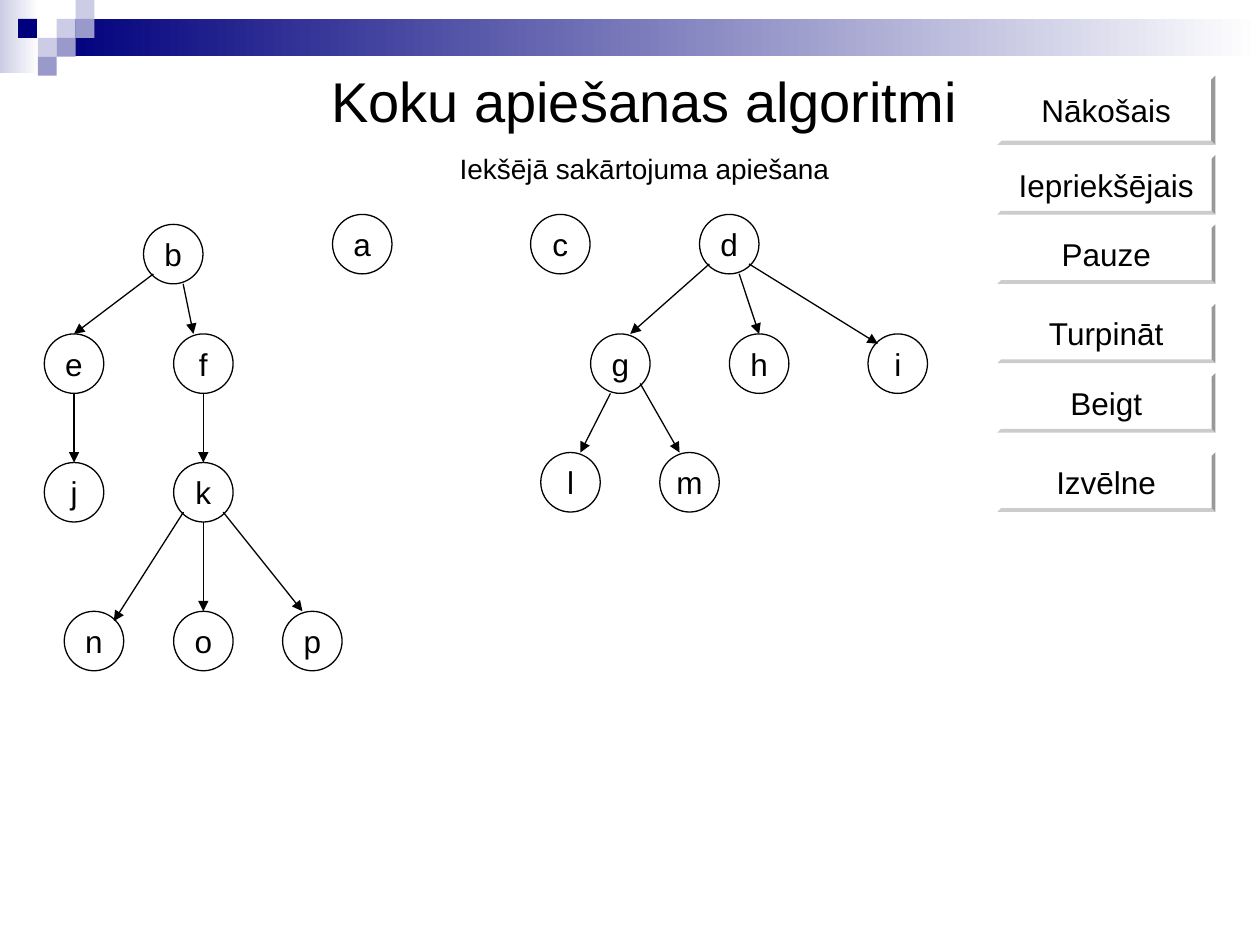
from typing import NamedTuple

from lxml.etree import SubElement
from pptx import Presentation
from pptx.dml.color import RGBColor
from pptx.enum.shapes import MSO_CONNECTOR, MSO_SHAPE
from pptx.enum.text import MSO_ANCHOR, PP_ALIGN
from pptx.oxml.ns import qn
from pptx.util import Pt

BLACK = RGBColor(0x00, 0x00, 0x00)
WHITE = RGBColor(0xFF, 0xFF, 0xFF)
NAVY = RGBColor(0x00, 0x00, 0x7D)
LAVENDER = RGBColor(0xCC, 0xCC, 0xE6)
PERIWINKLE = RGBColor(0x99, 0x99, 0xCC)

FONT = "Arial"
NODE_SIZE = 34
RADIUS = NODE_SIZE / 2
PORT_STEP = RADIUS / 3
SQUARE = 10.8
BUTTON_LEFT, BUTTON_WIDTH = 569.7, 124.8
BEVEL_RATIO = 0.0625


class Node(NamedTuple):
    """A tree node, placed by its centre."""
    x: float
    y: float


class Edge(NamedTuple):
    """An arrow; each port counts steps sideways from the node's middle."""
    parent: str
    child: str
    parent_port: int = 0
    child_port: int = 0


class Button(NamedTuple):
    label: str
    top: float
    height: float = 34


class Block(NamedTuple):
    """A header rectangle, shaded to white when fade is set."""
    left: float
    top: float
    width: float
    height: float
    color: RGBColor
    fade: bool = False


HEADER = [
    Block(0, 0, 22.3, 41.8, LAVENDER, True),
    Block(32.4, 10.8, 687.6, 21.4, NAVY, True),
    *(Block(left, top, SQUARE, SQUARE, color) for left, top, color in [
        (32.4, 10.8, LAVENDER), (43.2, 0, LAVENDER), (43.2, 10.8, PERIWINKLE),
        (21.6, 21.6, LAVENDER), (10.3, 10.8, NAVY), (32.4, 21.6, PERIWINKLE),
        (21.6, 32.4, PERIWINKLE),
    ]),
]

BUTTONS = [
    Button("Nākošais", 43.2, 39.6),
    Button("Iepriekšējais", 88.6),
    Button("Pauze", 128.2),
    Button("Turpināt", 173.5),
    Button("Beigt", 213.2),
    Button("Izvēlne", 258.5),
]

NODES = {
    "a": Node(207, 139.5), "b": Node(99, 145.2),
    "c": Node(320.2, 139.5), "d": Node(416.7, 139.5),
    "e": Node(42.3, 207.8), "f": Node(116.2, 207.8), "g": Node(354.5, 207.8),
    "h": Node(433.8, 207.8), "i": Node(513, 207.8),
    "j": Node(42.3, 281.3), "k": Node(116.2, 281.3),
    "l": Node(326, 275.6), "m": Node(394, 275.6),
    "n": Node(53.7, 366.3), "o": Node(116.2, 366.3), "p": Node(178.5, 366.3),
}

EDGES = [
    Edge("b", "e", -2, 0), Edge("b", "f", 1, -1),
    Edge("d", "g", -2, 1), Edge("d", "h", 1, 0), Edge("d", "i", 2, -2),
    Edge("e", "j"), Edge("f", "k"),
    Edge("g", "l", -1, 1), Edge("g", "m", 2, -1),
    Edge("k", "n", -2, 2), Edge("k", "o"), Edge("k", "p", 2, -1),
]


def add_filled(slide, preset, left: float, top: float, width: float,
               height: float, color: RGBColor):
    shape = slide.shapes.add_shape(
        preset, Pt(left), Pt(top), Pt(width), Pt(height))
    shape.shadow.inherit = False
    shape.fill.solid()
    shape.fill.fore_color.rgb = color
    shape.line.fill.background()
    return shape


def format_paragraph(paragraph, size: float) -> None:
    paragraph.alignment = PP_ALIGN.CENTER
    for run in paragraph.runs:
        run.font.name = FONT
        run.font.size = Pt(size)
        run.font.color.rgb = BLACK


def set_label(shape, label: str) -> None:
    frame = shape.text_frame
    frame.text = label
    frame.word_wrap = False
    frame.vertical_anchor = MSO_ANCHOR.MIDDLE
    format_paragraph(frame.paragraphs[0], 18)


def draw_block(slide, block: Block) -> None:
    shape = add_filled(slide, MSO_SHAPE.RECTANGLE, *block[:5])
    if block.fade:
        shape.fill.gradient()
        shape.fill.gradient_angle = 0
        for stop, color in zip(shape.fill.gradient_stops, (block.color, WHITE)):
            stop.color.rgb = color


def draw_heading(slide) -> None:
    heading = slide.shapes.add_textbox(
        Pt(127.4), Pt(31.7), Pt(481.7), Pt(74.9)).text_frame
    heading.word_wrap = True
    heading.margin_top = Pt(6.5)
    heading.text = "Koku apiešanas algoritmi"
    format_paragraph(heading.paragraphs[0], 32)
    subtitle = heading.add_paragraph()
    subtitle.text = "Iekšējā sakārtojuma apiešana"
    subtitle.space_before = Pt(10)
    format_paragraph(subtitle, 16)


def draw_button(slide, button: Button) -> None:
    shape = add_filled(slide, MSO_SHAPE.BEVEL, BUTTON_LEFT, button.top,
                       BUTTON_WIDTH, button.height, WHITE)
    shape.adjustments[0] = BEVEL_RATIO
    set_label(shape, button.label)


def draw_node(slide, label: str, node: Node) -> None:
    circle = add_filled(slide, MSO_SHAPE.OVAL, node.x - RADIUS,
                        node.y - RADIUS, NODE_SIZE, NODE_SIZE, WHITE)
    circle.line.color.rgb = BLACK
    circle.line.width = Pt(0.75)
    set_label(circle, label)


def port_position(node: Node, port: int, side: int) -> tuple:
    """Point on a node's lower (side 1) or upper (side -1) edge."""
    rise = 2 * PORT_STEP if abs(port) == 2 else RADIUS
    return Pt(node.x + port * PORT_STEP), Pt(node.y + side * rise)


def draw_edge(slide, edge: Edge) -> None:
    start = port_position(NODES[edge.parent], edge.parent_port, 1)
    end = port_position(NODES[edge.child], edge.child_port, -1)
    arrow = slide.shapes.add_connector(MSO_CONNECTOR.STRAIGHT, *start, *end)
    arrow.line.color.rgb = BLACK
    arrow.line.width = Pt(0.75)
    properties = arrow._element.spPr
    SubElement(properties.find(qn("a:ln")), qn("a:tailEnd"), type="triangle")
    SubElement(properties, qn("a:effectLst"))


def main() -> None:
    presentation = Presentation()
    presentation.slide_width, presentation.slide_height = Pt(720), Pt(540)
    slide = presentation.slides.add_slide(presentation.slide_layouts[6])

    # Header band and title
    for block in HEADER:
        draw_block(slide, block)
    draw_heading(slide)

    # Navigation buttons
    for button in BUTTONS:
        draw_button(slide, button)

    # Trees
    for label, node in NODES.items():
        draw_node(slide, label, node)
    for edge in EDGES:
        draw_edge(slide, edge)

    presentation.save("out.pptx")


if __name__ == "__main__":
    main()
